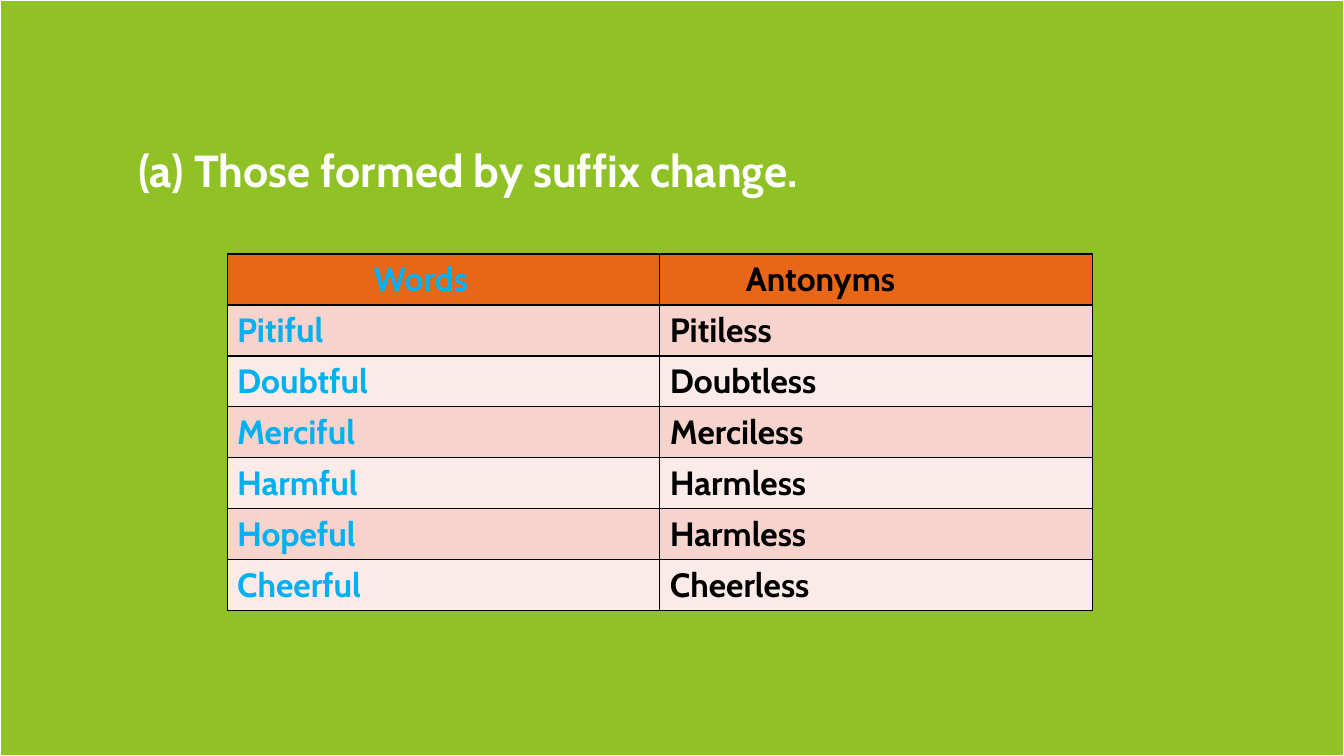
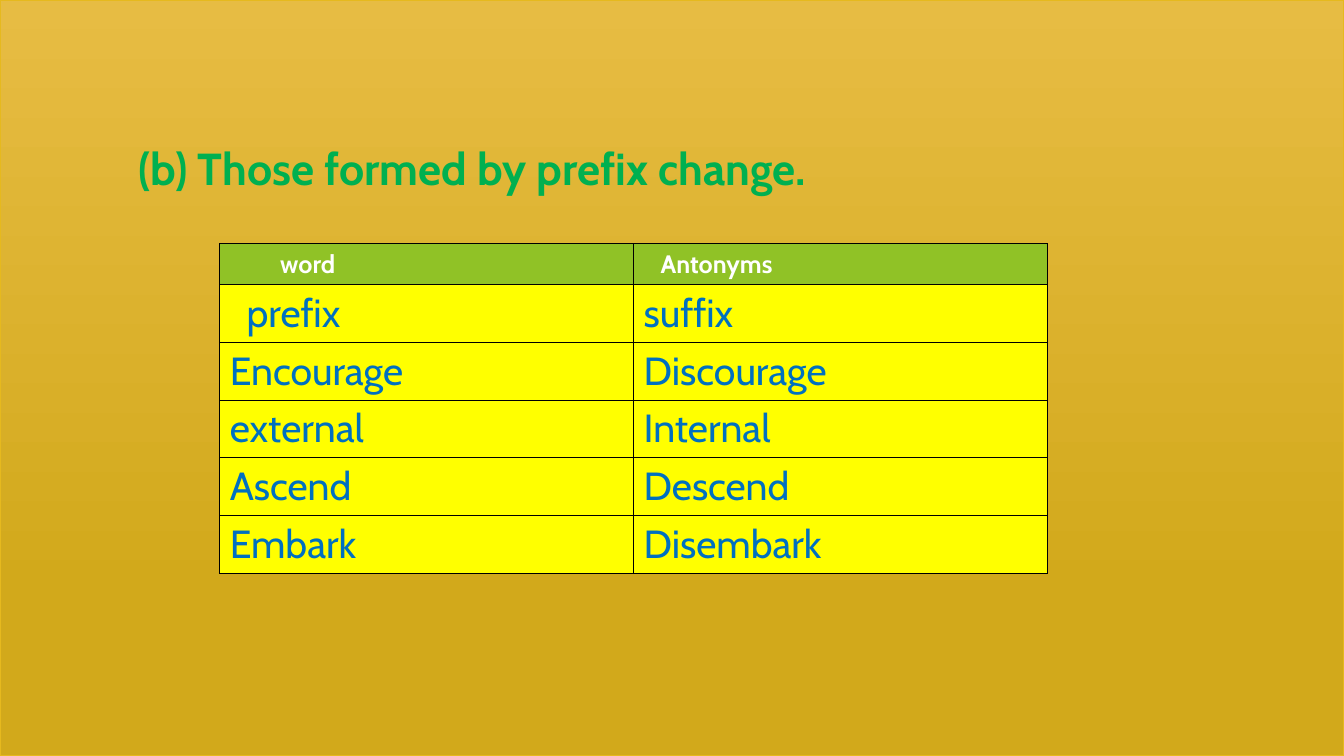
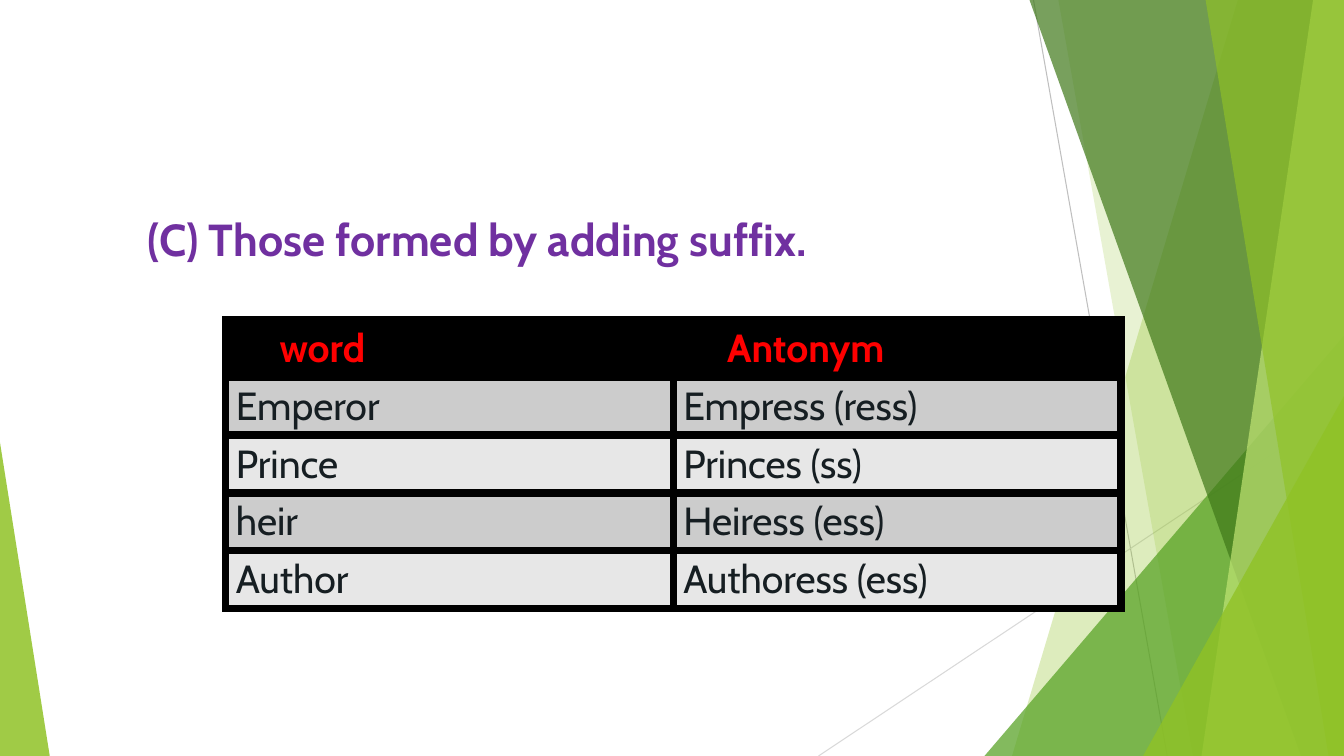
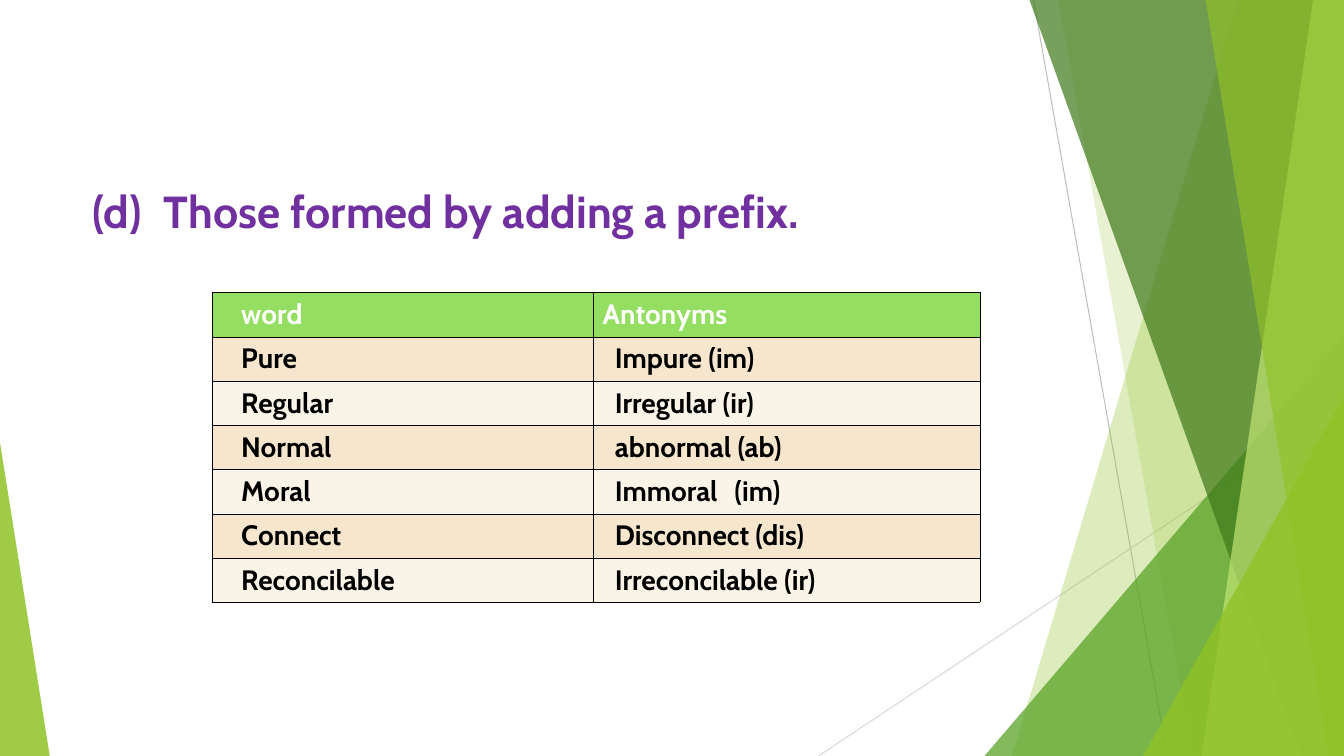
from lxml.etree import SubElement
from pptx import Presentation
from pptx.dml.color import RGBColor
from pptx.enum.shapes import MSO_CONNECTOR as Connector, MSO_SHAPE as Preset
from pptx.enum.text import MSO_ANCHOR as Anchor, MSO_AUTO_SIZE as AutoSize, PP_ALIGN as Align
from pptx.oxml.ns import qn
from pptx.util import Inches, Pt

FONT = "Cabin"
GREEN, PURPLE, BLACK, WHITE = "90C226", "7030A0", "000000", "FFFFFF"
SKY, BLUE, RED, INK = "00B0F0", "0070C0", "FF0000", "161E22"

deck = Presentation()
deck.slide_width, deck.slide_height = Inches(13.33), Inches(7.5)
COLUMN, ROW = deck.slide_width / 100, deck.slide_height / 100
INSET = 0.75


def paint(fill, colour):
    fill.solid()
    fill.fore_color.rgb = RGBColor.from_string(colour)


def write(frame, text, size, colour, bold, tab):
    frame.text = text
    para = frame.paragraphs[0]
    para.alignment = Align.LEFT
    if "\t" in text:
        stops = SubElement(para._p.get_or_add_pPr(), qn("a:tabLst"))
        SubElement(stops, qn("a:tab"), pos=str(int(tab * COLUMN)), algn="l")
    para.font.name, para.font.size, para.font.bold = FONT, Pt(size), bold
    paint(para.font.fill, colour)


lessons = [
    dict(
        title="(a) Those formed by suffix change.", title_at=(10.3, 22.5), title_colour=WHITE,
        panel=[GREEN], edge=(WHITE, 2),
        table_at=(16.9, 33.6), widths=(32.2, 32.2), border=1,
        sizes=(24, 24), bold_body=True,
        header_inks=(SKY, BLACK), body_inks=(SKY, BLACK),
        header_fill="E76618", body_fills=("F6D3CC", "FAEAE8"),
        header_insets=(10.9, 6.4), body_insets=(INSET, INSET), special_insets={},
        rows=[("Words", "Antonyms"), ("Pitiful", "Pitiless"), ("Doubtful", "Doubtless"),
              ("Merciful", "Merciless"), ("Harmful", "Harmless"), ("Hopeful", "Harmless"),
              ("Cheerful", "Cheerless")],
    ),
    dict(
        title="(b) Those formed by prefix change.", title_at=(10.3, 22.2), title_colour="00B050",
        panel=["E7BC43", "D2A91B"], edge=("E6B91E", 1),
        table_at=(16.35, 32.25), widths=(30.8, 30.8), border=1,
        sizes=(18, 28), bold_body=False,
        header_inks=(WHITE, WHITE), body_inks=(BLUE, BLUE),
        header_fill=GREEN, body_fills=("FFFF00", "FFFF00"),
        header_insets=(4.5, 2), body_insets=(INSET, INSET), special_insets={"prefix": 2},
        rows=[("word", "Antonyms"), ("prefix", "suffix"), ("Encourage", "Discourage"),
              ("external", "Internal"), ("Ascend", "Descend"), ("Embark", "Disembark")],
    ),
    dict(
        title="(C) Those formed by adding suffix.", title_at=(11, 31.5), title_colour=PURPLE,
        panel=[], edge=None,
        table_at=(16.8, 42.3), widths=(33.3, 33.3), border=6,
        sizes=(28, 28), bold_body=False,
        header_inks=(RED, RED), body_inks=(INK, INK),
        header_fill=BLACK, body_fills=("CCCCCC", "E7E7E7"),
        header_insets=(4, 4), body_insets=(INSET, INSET), special_insets={},
        rows=[("word", "Antonym"), ("Emperor", "Empress (ress)"), ("Prince", "Princes (ss)"),
              ("heir", "Heiress (ess)"), ("Author", "Authoress (ess)")],
    ),
    dict(
        title="(d)\tThose formed by adding a prefix.", title_at=(6.9, 27.9), title_colour=PURPLE,
        panel=[], edge=None,
        table_at=(15.75, 38.7), widths=(28.35, 28.8), border=0.25,
        sizes=(20, 20), bold_body=True,
        header_inks=(WHITE, WHITE), body_inks=(BLACK, BLACK),
        header_fill="94DE61", body_fills=("F5E6CD", "FAF3E8"),
        header_insets=(2.2, INSET), body_insets=(2.2, 1.65), special_insets={},
        rows=[("word", "Antonyms"), ("Pure", "Impure (im)"), ("Regular", "Irregular (ir)"),
              ("Normal", "abnormal (ab)"), ("Moral", "Immoral\t(im)"),
              ("Connect", "Disconnect (dis)"), ("Reconcilable", "Irreconcilable (ir)")],
    ),
]

layout = deck.slide_layouts.get_by_name("Title Only")
slides = [deck.slides.add_slide(layout) for lesson in lessons]

rays = [((76.9, 0), (86.85, 100), "BFBFBF"), ((100, 53.75), (60.9, 100), "D9D9D9")]
slants = [
    ("band", (92.1, 75.3), GREEN, 30),
    ("band", (78.75, 88.75), GREEN, 20),
    ("triangle", (73.25, 44.4, 26.75, 1), "54A021", 72),
    ("band", (76.6, 96.8), "3F7819", 70),
    ("band", (97.7, 89.4), "C0E474", 70),
    ("band", (89.7, 98.85), GREEN, 65),
    ("triangle", (85.05, 52.4, 14.95, 1), GREEN, 80),
    ("triangle", (0, 58.55, 3.7, 0), GREEN, 85),
]
facets = slides[0].shapes.add_group_shape()
for (x1, y1), (x2, y2), colour in rays:
    ray = facets.shapes.add_connector(
        Connector.STRAIGHT, int(x1 * COLUMN), int(y1 * ROW), int(x2 * COLUMN), int(y2 * ROW))
    paint(ray.line.fill, colour)
    ray.line.width = Pt(0.75)
    SubElement(ray.element.spPr, qn("a:effectLst"))
for kind, place, colour, opacity in slants:
    if kind == "band":
        top_x, bottom_x = (int(x * COLUMN) for x in place)
        outline = facets.shapes.build_freeform(top_x, 0)
        outline.add_line_segments([
            (deck.slide_width, 0), (deck.slide_width, deck.slide_height),
            (bottom_x, deck.slide_height)])
        facet = outline.convert_to_shape()
    else:
        left, top, width, apex = place
        facet = facets.shapes.add_shape(
            Preset.ISOSCELES_TRIANGLE, int(left * COLUMN), int(top * ROW),
            int(width * COLUMN), int((100 - top) * ROW))
        facet.adjustments[0] = apex
    paint(facet.fill, colour)
    tint = facet.element.spPr.find(".//" + qn("a:srgbClr"))
    SubElement(tint, qn("a:alpha"), val=str(opacity * 1000))
    facet.line.fill.background()
    facet.shadow.inherit = False
for number, label in enumerate(facets.element.iter(qn("p:cNvPr")), 20):
    label.set("id", str(number))
layout.placeholders[0].element.addprevious(facets.element)

for slide, lesson in zip(slides, lessons):
    title = slide.shapes.title
    left, middle = lesson["title_at"]
    title.left, title.top = int(left * COLUMN), int((middle - 4) * ROW)
    title.width, title.height = int(60 * COLUMN), int(8 * ROW)
    frame = title.text_frame
    frame.margin_left = frame.margin_right = frame.margin_top = frame.margin_bottom = 0
    frame.word_wrap, frame.auto_size = True, AutoSize.NONE
    frame.vertical_anchor = Anchor.MIDDLE
    write(frame, lesson["title"], 32, lesson["title_colour"], True, 5.3)

    if lesson["panel"]:
        panel = slide.shapes.add_shape(
            Preset.RECTANGLE, 0, 0, deck.slide_width, deck.slide_height)
        panel.shadow.inherit = False
        if len(lesson["panel"]) == 1:
            paint(panel.fill, lesson["panel"][0])
        else:
            panel.fill.gradient()
            panel.fill.gradient_angle = 270
            for stop, colour, position in zip(
                    panel.fill.gradient_stops, lesson["panel"], (0, 0.78)):
                stop.color.rgb = RGBColor.from_string(colour)
                stop.position = position
        edge_colour, edge_width = lesson["edge"]
        paint(panel.line.fill, edge_colour)
        panel.line.width = Pt(edge_width)
        title.element.addprevious(panel.element)

    rows, widths = lesson["rows"], lesson["widths"]
    heights = [Pt(lesson["sizes"][index > 0] * 1.215 + 7.2) for index in range(len(rows))]
    left, top = lesson["table_at"]
    table = slide.shapes.add_table(
        len(rows), len(widths), int(left * COLUMN), int(top * ROW),
        int(sum(widths) * COLUMN), sum(heights)).table
    table.horz_banding = False
    for column, width in zip(table.columns, widths):
        column.width = int(width * COLUMN)
    for index, words in enumerate(rows):
        table.rows[index].height = heights[index]
        part = "body" if index else "header"
        fill = lesson["body_fills"][(index - 1) % 2] if index else lesson["header_fill"]
        for side, word in enumerate(words):
            cell = table.cell(index, side)
            inset = lesson["special_insets"].get(word, lesson[part + "_insets"][side])
            cell.margin_left = int(inset * COLUMN)
            properties = cell._tc.get_or_add_tcPr()
            for edge in ("lnL", "lnR", "lnT", "lnB"):
                border = SubElement(properties, qn("a:" + edge), w=str(Pt(lesson["border"])))
                SubElement(SubElement(border, qn("a:solidFill")), qn("a:srgbClr"), val=BLACK)
            paint(cell.fill, fill)
            write(cell.text_frame, word, lesson["sizes"][index > 0],
                  lesson[part + "_inks"][side], not index or lesson["bold_body"], 8.9)

deck.save("out.pptx")
